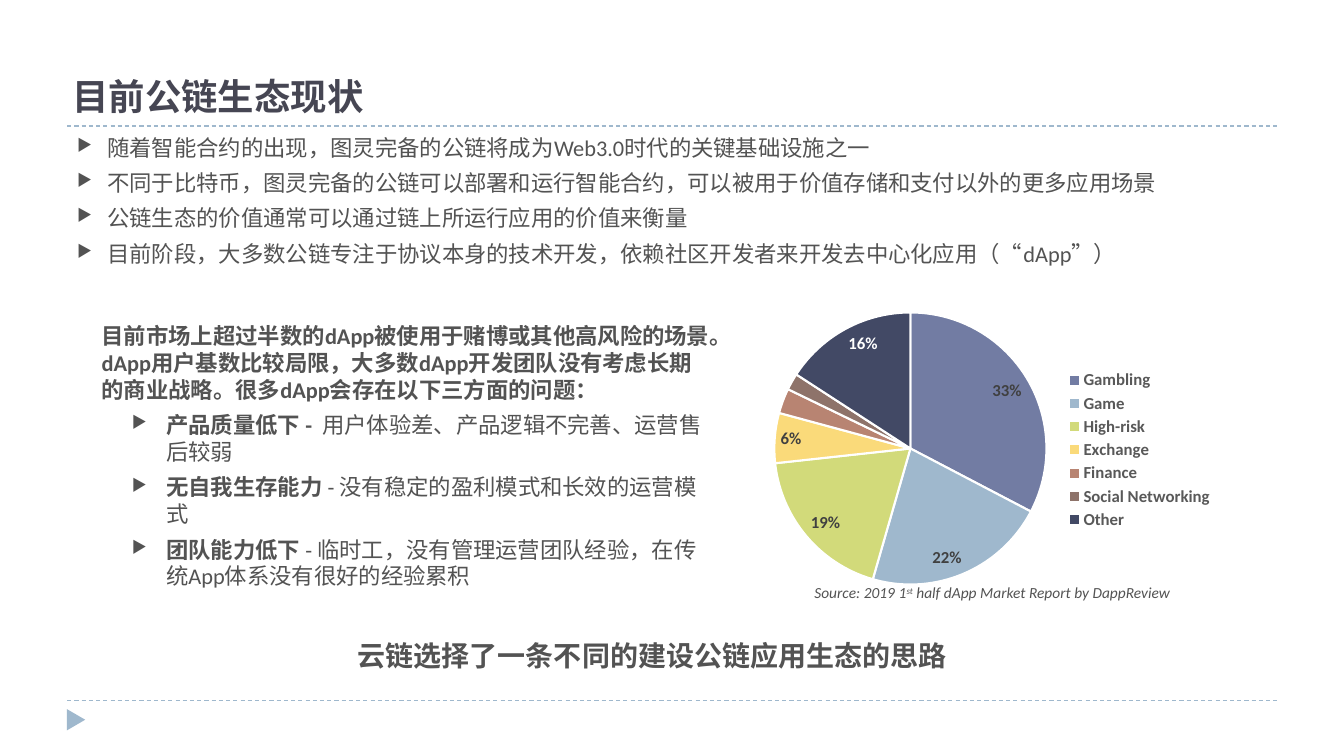
import lxml.etree
import pptx
import pptx.chart.data
import pptx.dml.color
import pptx.enum.chart
import pptx.enum.dml
import pptx.enum.shapes
import pptx.enum.text
import pptx.oxml.ns
import pptx.util

Pt = pptx.util.Pt
RGBColor = pptx.dml.color.RGBColor
qn = pptx.oxml.ns.qn

TITLE = RGBColor(0x46, 0x46, 0x53)
BODY = RGBColor(0x53, 0x53, 0x53)
LEGEND = RGBColor(0x59, 0x59, 0x59)
LABEL = RGBColor(0x40, 0x40, 0x40)
WHITE = RGBColor(0xFF, 0xFF, 0xFF)
ACCENT = RGBColor(0x9F, 0xB8, 0xCD)

SHARES = [
    ("Gambling", 33, RGBColor(0x72, 0x7C, 0xA3)),
    ("Game", 22, ACCENT),
    ("High-risk", 19, RGBColor(0xD2, 0xDA, 0x7A)),
    ("Exchange", 6, RGBColor(0xFA, 0xDA, 0x7A)),
    ("Finance", 3, RGBColor(0xB8, 0x84, 0x72)),
    ("Social Networking", 2, RGBColor(0x8E, 0x73, 0x6A)),
    ("Other", 16, RGBColor(0x42, 0x49, 0x65)),
]
OVERVIEW = [
    "随着智能合约的出现，图灵完备的公链将成为Web3.0时代的关键基础设施之一",
    "不同于比特币，图灵完备的公链可以部署和运行智能合约，可以被用于价值存储和支付以外的更多应用场景",
    "公链生态的价值通常可以通过链上所运行应用的价值来衡量",
    "目前阶段，大多数公链专注于协议本身的技术开发，依赖社区开发者来开发去中心化应用（“dApp”）",
]
INTRO = ("目前市场上超过半数的dApp被使用于赌博或其他高风险的场景。"
         "dApp用户基数比较局限，大多数dApp开发团队没有考虑长期的商业战略。"
         "很多dApp会存在以下三方面的问题：")
PROBLEMS = [
    ("产品质量低下 -  ", "用户体验差、产品逻辑不完善、运营售后较弱"),
    ("无自我生存能力 ", "- 没有稳定的盈利模式和长效的运营模式"),
    ("团队能力低下 ", "- 临时工，没有管理运营团队经验，在传统App体系没有很好的经验累积"),
]


def add_child(parent, tag, **attributes):
    return lxml.etree.SubElement(parent, qn(tag), attributes)


class SlideBuilder:
    font = "Calibri"

    def __init__(self, page):
        self.page = page

    def rule(self, left, top, right):
        line = self.page.shapes.add_connector(
            pptx.enum.shapes.MSO_CONNECTOR.STRAIGHT, Pt(left), Pt(top), Pt(right), Pt(top))
        line.line.color.rgb = ACCENT
        line.line.width = Pt(0.75)
        line.line.dash_style = pptx.enum.dml.MSO_LINE.DASH
        add_child(line._element.spPr, "a:effectLst")

    def marker(self, left, top, width, height):
        shape = self.page.shapes.add_shape(
            pptx.enum.shapes.MSO_SHAPE.ISOSCELES_TRIANGLE,
            Pt(left), Pt(top), Pt(width), Pt(height))
        shape.rotation = 90
        shape.shadow.inherit = False
        shape.fill.solid()
        shape.fill.fore_color.rgb = ACCENT
        shape.line.fill.background()

    def bullet(self, para, margin, hanging):
        properties = para._p.get_or_add_pPr()
        properties.set("marL", str(Pt(margin)))
        properties.set("indent", str(-Pt(hanging)))
        add_child(add_child(properties, "a:buClr"), "a:srgbClr", val=str(BODY))
        add_child(properties, "a:buSzPct", val="76000")
        add_child(properties, "a:buChar", char="▶")

    def text(self, left, top, width, height, paragraphs, size=16, color=BODY,
             font=font, level=0, bullets=None, anchor=pptx.enum.text.MSO_ANCHOR.TOP, inset=7.2):
        box = self.page.shapes.add_textbox(Pt(left), Pt(top), Pt(width), Pt(height))
        frame = box.text_frame
        frame.word_wrap = True
        frame.vertical_anchor = anchor
        frame.margin_left = frame.margin_right = Pt(inset)
        frame.margin_top = frame.margin_bottom = Pt(3.6)
        for index, spans in enumerate(paragraphs):
            para = frame.add_paragraph() if index else frame.paragraphs[0]
            if bullets and index >= level:
                para.level = level
                self.bullet(para, *bullets)
            if index:
                para.space_before = Pt(6)
            for content, style in spans:
                span = para.add_run()
                span.text = content
                span.font.name = font
                span.font.size = Pt(size)
                span.font.color.rgb = color
                span.font.bold = "b" in style
                span.font.italic = "i" in style
                if "^" in style:
                    span.font._element.set("baseline", "30000")

    def style_font(self, font, size, color, bold=True):
        font.name = self.font
        font.size = Pt(size)
        font.bold = bold
        font.color.rgb = color

    def place(self, parent, index, x, y, w, h):
        for old in parent.findall(qn("c:layout")):
            parent.remove(old)
        layout = lxml.etree.Element(qn("c:layout"))
        manual = add_child(layout, "c:manualLayout")
        if parent.tag == qn("c:plotArea"):
            add_child(manual, "c:layoutTarget", val="inner")
        for tag in ("c:xMode", "c:yMode"):
            add_child(manual, tag, val="edge")
        for tag, value in zip(("c:x", "c:y", "c:w", "c:h"), (x, y, w, h)):
            add_child(manual, tag, val=str(value))
        parent.insert(index, layout)

    def pie(self, left, top, width, height, shares):
        data = pptx.chart.data.CategoryChartData()
        data.categories = [name for name, value, color in shares]
        data.add_series("Series 1", [value for name, value, color in shares])
        chart = self.page.shapes.add_chart(
            pptx.enum.chart.XL_CHART_TYPE.PIE, Pt(left), Pt(top), Pt(width), Pt(height), data).chart
        chart.has_title = False
        chart.font.name = self.font
        chart.font.size = Pt(10)
        chart.has_legend = True
        chart.legend.position = pptx.enum.chart.XL_LEGEND_POSITION.RIGHT
        chart.legend.include_in_layout = False
        self.style_font(chart.legend.font, 12, LEGEND)
        chart.plots[0].vary_by_categories = True
        series = chart.plots[0].series[0]
        inside = pptx.enum.chart.XL_LABEL_POSITION.INSIDE_END
        labels = series.data_labels
        labels.show_percentage = True
        labels.show_value = False
        labels.number_format = "0%"
        labels.number_format_is_linked = False
        labels.position = inside
        self.style_font(labels.font, 12, LABEL)
        for index, (name, value, color) in enumerate(shares):
            point = series.points[index]
            point.format.fill.solid()
            point.format.fill.fore_color.rgb = color
            point.format.line.color.rgb = WHITE
            point.format.line.width = Pt(1.5)
        other = series.points[len(shares) - 1].data_label
        self.style_font(other.font, 12, WHITE)
        other.position = inside
        for index, (name, value, color) in enumerate(shares):
            if value < 5:
                series.points[index].data_label.position = inside
        for label in labels._element.findall(qn("c:dLbl")):
            number = label.find(qn("c:idx"))
            if shares[int(number.get("val"))][1] < 5:
                for child in list(label)[1:]:
                    label.remove(child)
                add_child(label, "c:delete", val="1")
            else:
                label.find(qn("c:showVal")).set("val", "0")
                label.find(qn("c:showPercent")).set("val", "1")
        self.place(chart._chartSpace.find(".//" + qn("c:plotArea")), 0, 0.08, 0.05, 0.56, 0.9)
        self.place(chart.legend._element, 1, 0.67, 0.23, 0.32, 0.55)


def main():
    deck = pptx.Presentation()
    deck.slide_width, deck.slide_height = Pt(960), Pt(540)
    builder = SlideBuilder(deck.slides.add_slide(deck.slide_layouts[6]))
    for top in (500.4, 90):
        builder.rule(48, top, 912)
    builder.marker(46.8, 507.6, 15.1, 13)
    builder.pie(524.9, 212.4, 348.5, 216, SHARES)
    builder.text(48, 35.3, 864, 52.5, [[("目前公链生态现状", "b")]], size=26, color=TITLE,
                 font="TeX Gyre Bonum", anchor=pptx.enum.text.MSO_ANCHOR.BOTTOM, inset=3.6)
    builder.text(48, 92.2, 885.6, 127.4, [[(line, "")] for line in OVERVIEW],
                 bullets=(21.6, 21.6))
    builder.text(574.6, 413.3, 277.2, 27.4,
                 [[("Source: 2019 1", "i"), ("st", "i^"),
                   (" half dApp Market Report by DappReview", "i")]], size=11)
    problems = [[(heading, "b"), (detail, "")] for heading, detail in PROBLEMS]
    builder.text(65.5, 226.8, 449.3, 211, [[(INTRO, "b")]] + problems,
                 level=1, bullets=(46.1, 24.5))
    builder.text(248.4, 452.9, 437.8, 48.2,
                 [[("云链选择了一条不同的建设公链应用生态的思路", "b")]], size=20)
    deck.save("out.pptx")


if __name__ == "__main__":
    main()
